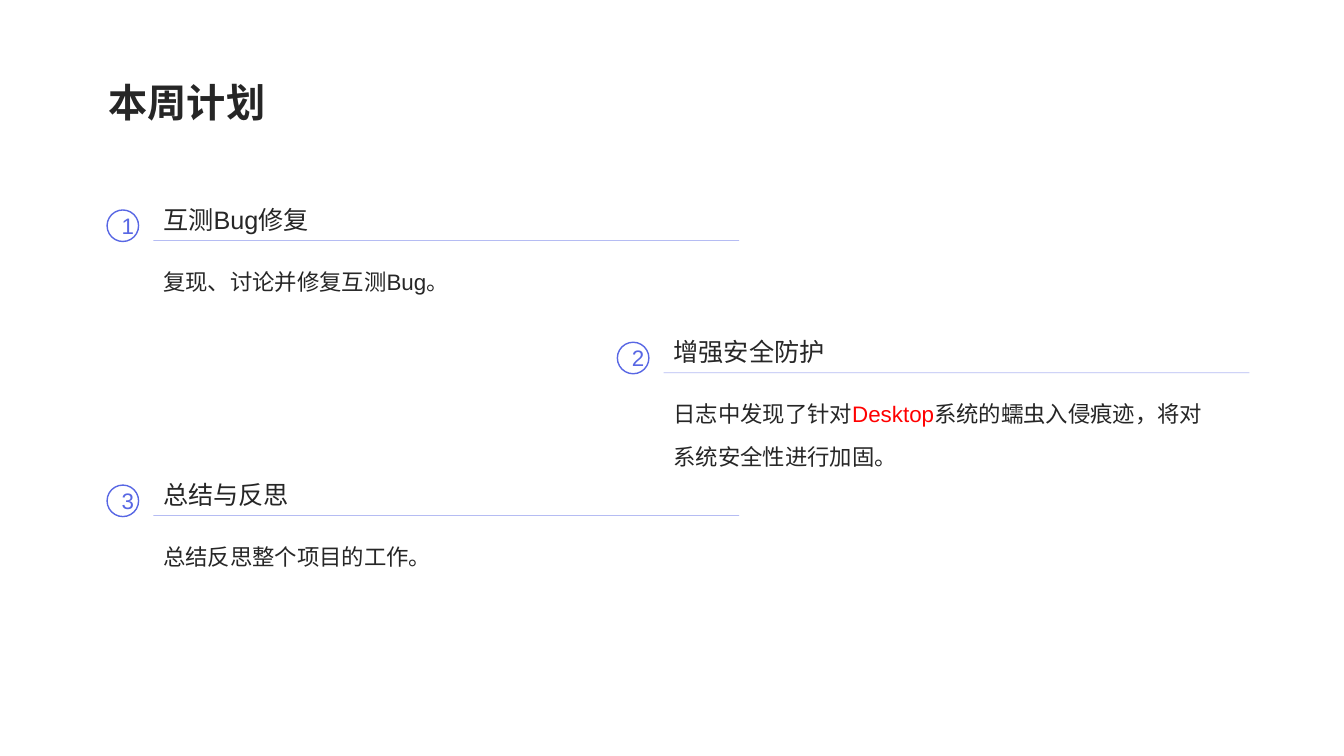
from lxml import etree
from pptx import Presentation
from pptx import util as u
from pptx.dml.color import RGBColor
from pptx.enum import lang, shapes, text
from pptx.oxml import ns

TITLE = "本周计划"
# Each body is a list of paragraphs, each paragraph a list of (words, colour)
PLANS = [
    {"column": 0, "rule_y": 229, "body_height": 94,
     "heading": "互测Bug修复",
     "body": [[("复现、讨论并修复互测Bug。", "ink")]]},
    {"column": 1, "rule_y": 355, "body_height": 100,
     "heading": "增强安全防护",
     "body": [[("日志中发现了针对", "ink"), ("Desktop", "alert"),
               ("系统的蠕虫入侵痕迹，将对", "ink")],
              [("系统安全性进行加固。", "ink")]]},
    {"column": 0, "rule_y": 491, "body_height": 57,
     "heading": "总结与反思",
     "body": [[("总结反思整个项目的工作。", "ink")]]},
]

COLORS = {"ink": "262626", "accent": "5867E4", "alert": "FF0000"}
STYLES = {
    "title": {"size": u.Pt(28), "bold": True},
    "heading": {"size": u.Pt(18)},
    "body": {"size": u.Pt(16)},
    "badge": {"size": u.Pt(16)},
}
SPACING = {"title": 1.2, "heading": 1.1, "body": 1.6, "badge": 1.0}

SLIDE_WIDTH, SLIDE_HEIGHT = 1280, 720
COLUMN_LEFTS = [146, 632]
COLUMN_WIDTH = 558
HEADING_RISE, HEADING_HEIGHT = 42, 43
BODY_DROP = 6
BADGE_SIZE, BADGE_RISE, BADGE_OFFSET = 30, 29, 44
RULE_OPACITY = 44


def px(length):
    return u.Emu(length * 9525)


def color(name):
    return RGBColor.from_string(COLORS[name])


def write(frame, paragraphs, style, align=text.PP_ALIGN.LEFT):
    for index, runs in enumerate(paragraphs):
        paragraph = frame.add_paragraph() if index else frame.paragraphs[0]
        paragraph.alignment = align
        paragraph.line_spacing = SPACING[style]
        for words, color_name in runs:
            run = paragraph.add_run()
            run.text = words
            font_format = {
                "name": "Arial",
                "language_id": lang.MSO_LANGUAGE_ID.SIMPLIFIED_CHINESE,
                **STYLES[style],
            }
            for attribute, value in font_format.items():
                setattr(run.font, attribute, value)
            run.font.color.rgb = color(color_name)


def add_text(slide, box, paragraphs, style):
    frame = slide.shapes.add_textbox(*map(px, box)).text_frame
    frame.word_wrap = True
    write(frame, paragraphs, style)


def add_rule(slide, left, y):
    rule = slide.shapes.add_connector(
        shapes.MSO_CONNECTOR.STRAIGHT,
        *map(px, (left, y, left + COLUMN_WIDTH, y)))
    rule.line.width = u.Pt(0.5)
    rule.line.color.rgb = color("accent")
    properties = rule._element.spPr
    shade = properties.find(".//" + ns.qn("a:srgbClr"))
    etree.SubElement(shade, ns.qn("a:alpha"), val=str(RULE_OPACITY * 1000))
    etree.SubElement(properties, ns.qn("a:effectLst"))


def add_badge(slide, left, top, number):
    badge = slide.shapes.add_shape(
        shapes.MSO_SHAPE.OVAL, *map(px, (left, top, BADGE_SIZE, BADGE_SIZE)))
    badge.shadow.inherit = False
    badge.fill.background()
    badge.line.width = u.Pt(1)
    badge.line.color.rgb = color("accent")
    badge.text_frame.vertical_anchor = text.MSO_ANCHOR.MIDDLE
    write(badge.text_frame, [[(str(number), "accent")]], "badge",
          text.PP_ALIGN.CENTER)


def add_plan(slide, number, plan):
    left, y = COLUMN_LEFTS[plan["column"]], plan["rule_y"]
    add_rule(slide, left, y)
    add_text(slide, (left, y - HEADING_RISE, COLUMN_WIDTH, HEADING_HEIGHT),
             [[(plan["heading"], "ink")]], "heading")
    add_text(slide, (left, y + BODY_DROP, COLUMN_WIDTH, plan["body_height"]),
             plan["body"], "body")
    add_badge(slide, left - BADGE_OFFSET, y - BADGE_RISE, number)


def main():
    deck = Presentation()
    deck.slide_width, deck.slide_height = px(SLIDE_WIDTH), px(SLIDE_HEIGHT)
    slide = deck.slides.add_slide(deck.slide_layouts[6])
    add_text(slide, (94, 61, 1095, 84), [[(TITLE, "ink")]], "title")
    for number, plan in enumerate(PLANS, start=1):
        add_plan(slide, number, plan)
    deck.save("out.pptx")


if __name__ == "__main__":
    main()
